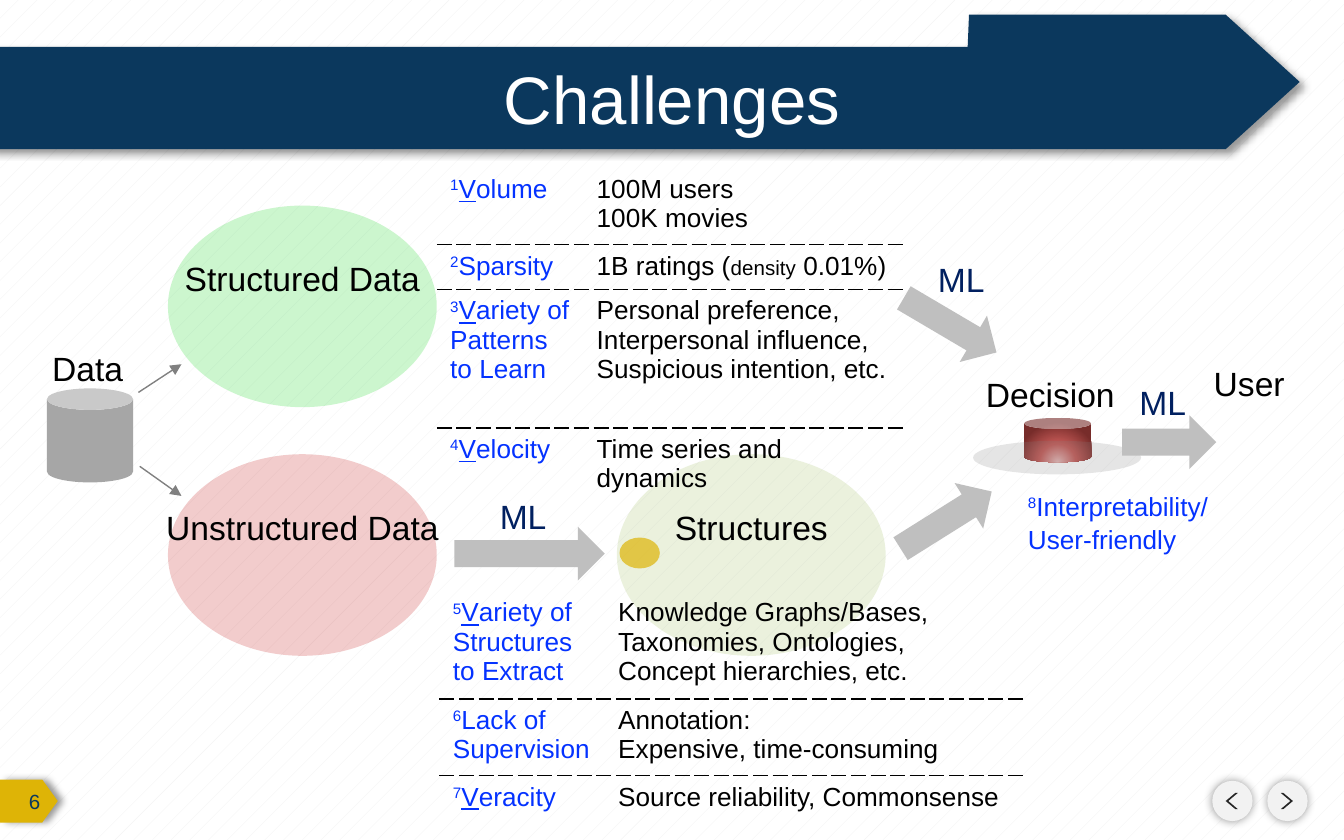
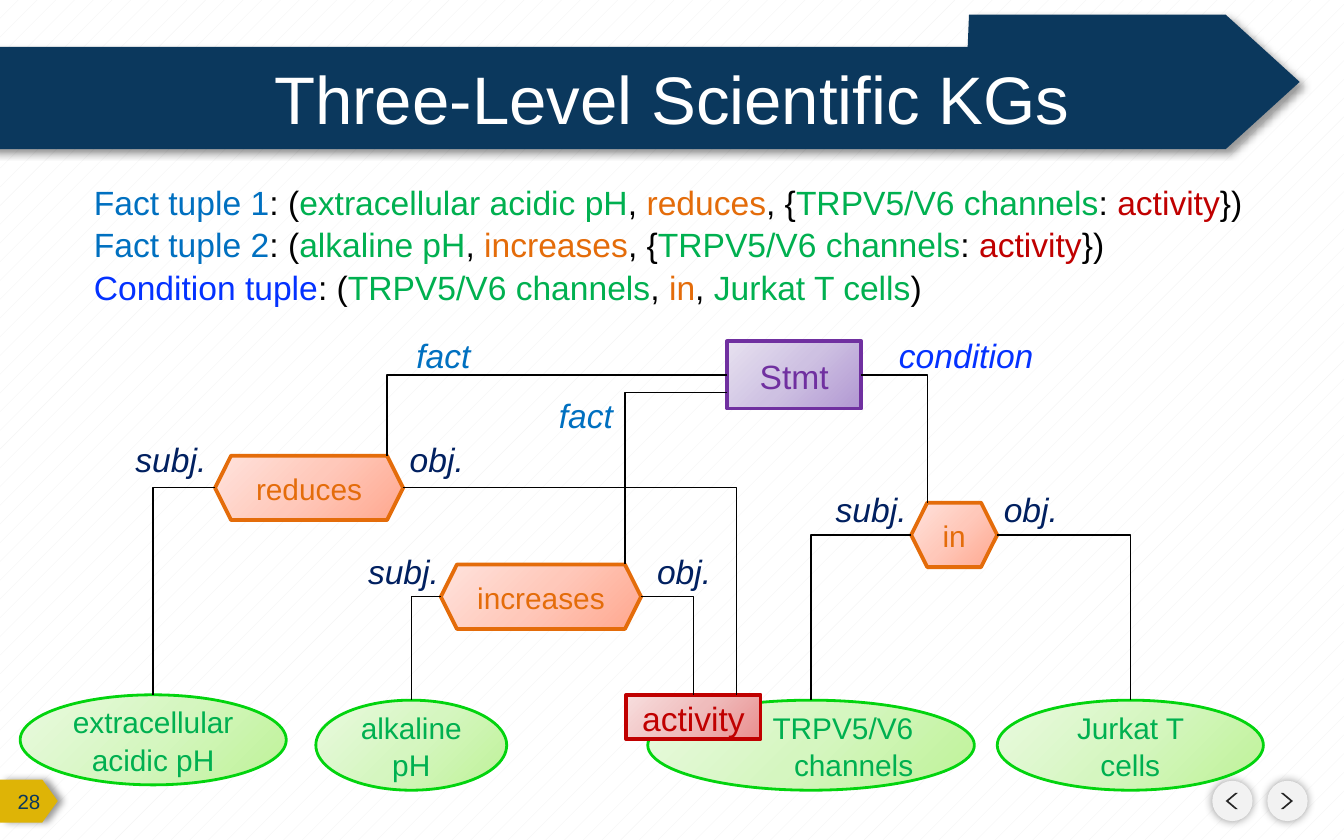
from dataclasses import dataclass

from lxml.etree import SubElement
from pptx import Presentation
from pptx.dml.color import RGBColor
from pptx.enum.dml import MSO_PATTERN
from pptx.enum.shapes import MSO_CONNECTOR as Link, MSO_SHAPE as Preset
from pptx.enum.text import MSO_ANCHOR as Anchor, MSO_AUTO_SIZE as AutoSize, PP_ALIGN as Align
from pptx.oxml.ns import qn
from pptx.util import Emu, Inches, Pt

UNIT = Inches(10) / 100  # the slide is a grid of 100 columns and 62.5 rows
NO_TABLE_STYLE = "{2D5ABB26-0587-4C30-8999-92F81FD0307C}"


@dataclass(frozen=True)
class NodeStyle:
    ink: str
    border: str
    stops: tuple
    size: int
    weight: float = 2


@dataclass(frozen=True)
class Theme:
    font: str = "Arial"
    title: int = 36
    label: int = 18
    detail: int = 14
    small: int = 11
    black: str = "000000"
    white: str = "FFFFFF"
    pale: str = "F2F2F2"
    navy: str = "0B385D"
    gold: str = "DEB406"
    chevron: str = "262626"
    blue: str = "0432FF"
    fact: str = "0070C0"
    role: str = "012060"
    green: str = "00B050"
    orange: str = "E46C0A"
    red: str = "C00000"
    lime: str = "02D40E"
    olive: str = "9BBB59"
    arrow: str = "BFBFBF"
    store: str = "A6A6A6"
    gray: str = "808080"
    decision: tuple = ((0, "E6B9B8"), (46, "C35956"), (100, "772C2A"))
    concept: NodeStyle = NodeStyle(
        "00B050", "02D40E", ((0, "BEF297"), (50, "D5F6C0"), (100, "EAFAE0")), 16, 1.5)
    relation: NodeStyle = NodeStyle(
        "E46C0A", "E46C0A", ((0, "FFA78E"), (50, "FFC8BA"), (100, "FFE3DD")), 16)
    attribute: NodeStyle = NodeStyle(
        "C00000", "C00000", ((0, "E98F8F"), (50, "EFBCBC"), (100, "F7DEDE")), 18)
    statement: NodeStyle = NodeStyle(
        "7030A0", "7030A0", ((0, "B197D2"), (50, "CEC1E2"), (100, "E7E1F0")), 18)


T = Theme()


def grid(value):
    return Emu(round(value * UNIT))


@dataclass(frozen=True)
class Box:
    """An area of the slide, in grid units."""
    left: float
    top: float
    width: float
    height: float

    def at(self, x, y, width, height):
        return Box(self.left + x, self.top + y, width, height)

    def point(self, x, y):
        return grid(self.left + x), grid(self.top + y)

    def emu(self):
        return [grid(v) for v in (self.left, self.top, self.width, self.height)]


def write(frame, *paragraphs, align=None, anchor=None, spacing=None, **base):
    """Fill a text frame; a paragraph is a string or a list of strings and (string, format) runs."""
    if anchor is not None:
        frame.vertical_anchor = anchor
    for i, content in enumerate(paragraphs):
        paragraph = frame.add_paragraph() if i else frame.paragraphs[0]
        paragraph.alignment = align
        paragraph.line_spacing = spacing
        for piece in [content] if isinstance(content, str) else content:
            words, extra = (piece, {}) if isinstance(piece, str) else piece
            look = {"size": T.label, "color": T.black, **base, **extra}
            run = paragraph.add_run()
            run.text = words
            run.font.name = T.font
            run.font.size = Pt(look["size"])
            run.font.color.rgb = RGBColor.from_string(look["color"])
            run.font.italic = look.get("italic")
            run.font.underline = look.get("underline")
            if look.get("superscript"):
                run.font._element.set("baseline", "30000")


def label(slide, box, *paragraphs, wrap=False, grow=True, **fmt):
    frame = slide.shapes.add_textbox(*box.emu()).text_frame
    frame.word_wrap = wrap
    frame.auto_size = AutoSize.SHAPE_TO_FIT_TEXT if grow else AutoSize.NONE
    write(frame, *paragraphs, **fmt)


def paint(shape, color, alpha=None, shadow=None):
    """Solid fill, no line; shadow is (blur, distance, direction)."""
    shape.fill.solid()
    shape.fill.fore_color.rgb = RGBColor.from_string(color)
    shape.line.fill.background()
    shape.shadow.inherit = False
    properties = shape._element.spPr
    if alpha:
        SubElement(properties.find(".//" + qn("a:srgbClr")), qn("a:alpha"), val=str(alpha * 1000))
    if shadow:
        blur, distance, direction = shadow
        outer = SubElement(properties.find(qn("a:effectLst")), qn("a:outerShdw"),
                           blurRad=str(Pt(blur)), dist=str(Pt(distance)),
                           dir=str(direction * 60000), rotWithShape="0")
        ink = SubElement(outer, qn("a:srgbClr"), val=T.black)
        SubElement(ink, qn("a:alpha"), val="40000")


def solid(slide, preset, box, color, rotation=0, adjust=None, **effects):
    shape = slide.shapes.add_shape(preset, *box.emu())
    shape.rotation = rotation
    if adjust:
        shape.adjustments[0] = adjust
    paint(shape, color, **effects)
    return shape


def shade(shape, stops, radial=False):
    """Gradient fill, either radial or from the lower right corner."""
    shape.fill.gradient()
    gradient = shape._element.spPr.find(qn("a:gradFill"))
    for child in list(gradient):
        gradient.remove(child)
    steps = SubElement(gradient, qn("a:gsLst"))
    for position, color in stops:
        SubElement(SubElement(steps, qn("a:gs"), pos=str(position * 1000)), qn("a:srgbClr"), val=color)
    if radial:
        SubElement(SubElement(gradient, qn("a:path"), path="circle"), qn("a:fillToRect"),
                   l="50000", t="130000", r="50000", b="-30000")
    else:
        SubElement(gradient, qn("a:lin"), ang=str(225 * 60000), scaled="0")


def connect(slide, start, end, color, kind=Link.STRAIGHT, arrow=False):
    """Elbows leave start horizontally and reach end vertically."""
    link = slide.shapes.add_connector(kind, *start, *end)
    link.line.color.rgb = RGBColor.from_string(color)
    link.line.width = Pt(0.75)
    properties = link._element.spPr
    if kind == Link.ELBOW:
        properties.find(qn("a:prstGeom")).set("prst", "bentConnector2")
    if arrow:
        SubElement(properties.find(qn("a:ln")), qn("a:tailEnd"), type="triangle")
    SubElement(properties, qn("a:effectLst"))


def decorate(slide, layout):
    """Draw the shared band, page tag and buttons, then move them to the layout."""
    for x, glyph_x, flip in ((94.3, 95.3, False), (90.2, 91.2, True)):
        solid(slide, Preset.OVAL, Box(x, 58.1, 3, 3), T.pale, shadow=(5, 0, 0))
        glyph = solid(slide, Preset.CHEVRON, Box(glyph_x, 59, 0.9, 1.2), T.chevron, adjust=0.79)
        if flip:
            glyph._element.spPr.xfrm.set("flipH", "1")
    solid(slide, Preset.PENTAGON, Box(0, 58, 4.3, 3.2), T.gold, adjust=0.36, shadow=(4, 3, 0))
    corner, *outline = [(grid(x), grid(y)) for x, y in (
        (-0.8, 3.5), (72, 3.5), (72.1, 1.1), (91.2, 1.1), (96.7, 6.1), (91.2, 11.1), (-0.8, 11.1))]
    band = slide.shapes.build_freeform(*corner)
    band.add_line_segments(outline)
    paint(band.convert_to_shape(), T.navy, shadow=(4, 3, 45))
    parts = [s._element for s in slide.shapes if not s.is_placeholder]
    for i, part in enumerate(parts):
        part.nvSpPr.cNvPr.set("id", str(100 + i))
        layout.shapes._spTree.insert(2 + i, part)


def head(slide, title, number):
    heading = slide.shapes.title
    heading.left, heading.top, heading.width, heading.height = Box(8.5, 3.8, 83, 7).emu()
    write(heading.text_frame, title, size=T.title, color=T.white, align=Align.CENTER, anchor=Anchor.MIDDLE)
    label(slide, Box(-1, 58, 5, 3.2), str(number), wrap=True, grow=False, size=T.small,
          color=T.navy, align=Align.RIGHT, anchor=Anchor.MIDDLE)


def cloud(slide, box, name, color, name_width):
    solid(slide, Preset.OVAL, box, color, alpha=20)
    label(slide, box.at((box.width - name_width) / 2, 3.4, name_width, 4), name, align=Align.CENTER)


def learning_step(slide, arrow_box, mark_box, rotation=0):
    solid(slide, Preset.RIGHT_ARROW, arrow_box, T.arrow, rotation)
    if mark_box:
        label(slide, mark_box, "ML", color=T.role)


def sources(slide, box):
    cloud(slide, box.at(10, 18.5, 20, 15), "Unstructured Data", T.red, 22.5)
    cloud(slide, box.at(10, 0, 20, 15), "Structured Data", T.lime, 19.7)
    solid(slide, Preset.CAN, box.at(1, 13.6, 6.4, 7), T.store)
    label(slide, box.at(0.4, 10.1, 7.3, 4), "Data")
    for start, end in (((7.8, 13.9), (11, 11.8)), ((7.9, 19.4), (11, 21.6))):
        connect(slide, box.point(*start), box.point(*end), T.gray, arrow=True)


def structures(slide, box):
    cloud(slide, box.at(12.1, 0, 20, 15), "Structures", T.olive, 13.5)
    learning_step(slide, box.at(0, 5.4, 11.2, 4), box.at(2.4, 2.6, 5.5, 4))
    solid(slide, Preset.OVAL, box.at(12.3, 6.2, 3, 2.3), T.gold, alpha=70)


def decision(slide, box):
    drum = solid(slide, Preset.CAN, box.at(10.2, 13.1, 5, 3.3), T.red)
    shade(drum, T.decision, radial=True)
    solid(slide, Preset.OVAL, box.at(6.4, 14.8, 12.5, 2.5), T.gray, alpha=20)
    label(slide, box.at(6.3, 9.3, 11.7, 4), "Decision", align=Align.CENTER)
    learning_step(slide, box.at(0.7, 4.2, 8, 4), box.at(2.8, 0.8, 5.5, 4), 30.5)
    learning_step(slide, box.at(0.4, 18.7, 8, 4), None, 327.9)
    learning_step(slide, box.at(17.5, 12.9, 7, 4), box.at(17.8, 9.9, 5.5, 4))
    label(slide, box.at(23.3, 8.5, 7.3, 4), "User", align=Align.CENTER)
    label(slide, box.at(9.5, 17.9, 15.6, 5.7), numbered(8, "Interpretability/"), "User-friendly",
          size=T.detail, color=T.blue, spacing=1.05)


def numbered(number, words, initial=""):
    mark = [(str(number), {"superscript": True})]
    return mark + ([(initial, {"underline": True})] if initial else []) + [words]


def challenge_table(slide, box, columns, rows):
    """Rows are (height, name paragraphs, detail paragraphs), parted by dashed rules."""
    table = slide.shapes.add_table(len(rows), 2, *box.emu()).table
    table.first_row = table.horz_banding = False
    table._tbl.tblPr.find(qn("a:tableStyleId")).text = NO_TABLE_STYLE
    for column, width in zip(table.columns, columns):
        column.width = grid(width)
    for r, (height, *texts) in enumerate(rows):
        table.rows[r].height = grid(height)
        for cell, paragraphs, color in zip(table.rows[r].cells, texts, (T.blue, T.black)):
            write(cell.text_frame, *paragraphs, size=T.detail, color=color)
            for edge, inner in (("a:lnT", r > 0), ("a:lnB", r < len(rows) - 1)):
                if inner:
                    rule = SubElement(cell._tc.get_or_add_tcPr(), qn(edge), w=str(Pt(1)))
                    SubElement(SubElement(rule, qn("a:solidFill")), qn("a:srgbClr"), val=T.black)
                    SubElement(rule, qn("a:prstDash"), val="sysDash")
            cell.fill.background()


def challenges(slide):
    head(slide, "Challenges", 6)
    sources(slide, Box(2.5, 15.3, 31.5, 33.5))
    structures(slide, Box(33.8, 33.8, 32.1, 15))
    decision(slide, Box(66, 18, 31, 26))
    challenge_table(slide, Box(32.5, 12.5, 35, 22.7), (10.9, 24.1), [
        (5.7, [numbered(1, "olume", "V")], ["100M users", "100K movies"]),
        (3.3, [numbered(2, "Sparsity")], [["1B ratings (", ("density", {"size": T.small}), " 0.01%)"]]),
        (10.3, [numbered(3, "ariety of Patterns to Learn", "V")],
         ["Personal preference,", "Interpersonal influence,", "Suspicious intention, etc."]),
        (3.4, [numbered(4, "elocity", "V")], ["Time series and dynamics"])])
    challenge_table(slide, Box(32.7, 44, 43.5, 17), (12.3, 31.2), [
        (8, [numbered(5, "ariety of", "V"), "Structures to Extract"],
         ["Knowledge Graphs/Bases, Taxonomies, Ontologies,", "Concept hierarchies, etc."]),
        (5.7, [numbered(6, "Lack of Supervision")], ["Annotation:", "Expensive, time-consuming"]),
        (3.3, [numbered(7, "eracity", "V")], ["Source reliability, Commonsense"])])


def tuple_line(name, color, subject, relation, target, attribute=None):
    green = {"color": T.green}
    line = [(name, {"color": color}), ": (", (subject, green), ", ", (relation, {"color": T.orange})]
    if attribute:
        return line + [", {", (target, green), ": ", (attribute, {"color": T.red}), "})"]
    return line + [", ", (target, green), ")"]


def tuples(slide, box):
    channels = "TRPV5/V6 channels"
    label(slide, box,
          tuple_line("Fact tuple 1", T.fact, "extracellular acidic pH", "reduces", channels, "activity"),
          tuple_line("Fact tuple 2", T.fact, "alkaline pH", "increases", channels, "activity"),
          tuple_line("Condition tuple", T.blue, channels, "in", "Jurkat T cells"),
          wrap=True, spacing=1.05)


def node(slide, preset, box, name, style, align=Align.CENTER):
    shape = solid(slide, preset, box, T.white)
    shade(shape, style.stops)
    shape.line.color.rgb = RGBColor.from_string(style.border)
    shape.line.width = Pt(style.weight)
    shape.text_frame.word_wrap = True
    write(shape.text_frame, name, size=style.size, color=style.ink, align=align,
          anchor=Anchor.MIDDLE, spacing=1.05)
    return shape


def spot(shape, across, down):
    return shape.left + round(shape.width * across), shape.top + round(shape.height * down)


def knowledge_graph(slide, box):
    acidic, alkaline, channels, jurkat = [
        node(slide, Preset.OVAL, box.at(x, y, width, 6.7), name, T.concept, align)
        for x, y, width, name, align in (
            (1.5, 27.7, 19.8, "extracellular acidic pH", Align.CENTER),
            (23.5, 28.1, 14.2, "alkaline pH", Align.CENTER),
            (48.2, 28.1, 24.3, "TRPV5/V6 channels", Align.RIGHT),
            (74.2, 28.1, 19.8, "Jurkat T cells", Align.CENTER))]
    reduces, increases, inside = [
        node(slide, Preset.HEXAGON, box.at(x, y, width, 4.8), name, T.relation)
        for x, y, width, name in ((16, 9.9, 14, "reduces"), (32.8, 18, 14.9, "increases"),
                                  (67.8, 13.4, 6.4, "in"))]
    activity = node(slide, Preset.RECTANGLE, box.at(46.6, 27.7, 10, 3.3), "activity", T.attribute)
    stmt = node(slide, Preset.RECTANGLE, box.at(54.1, 1.4, 10, 5), "Stmt", T.statement)

    corner = reduces.height // 4
    links = [(spot(stmt, 0, 0.5), (reduces.left + reduces.width - corner, reduces.top)),
             (spot(stmt, 0, 0.76), (increases.left + increases.width - corner, increases.top)),
             (spot(stmt, 1, 0.5), (inside.left + corner, inside.top))]
    for relation, subject, target, across in ((reduces, acidic, activity, 0.82),
                                              (increases, alkaline, activity, 0.5),
                                              (inside, channels, jurkat, 0.5)):
        links += [(spot(relation, 0, 0.5), spot(subject, 0.5, 0)),
                  (spot(relation, 1, 0.5), spot(target, across, 0))]
    for start, end in links:
        connect(slide, start, end, T.black, Link.ELBOW)

    for x, y, width, name, color in (
            (30, 0.4, 6.1, "fact", T.fact), (40.6, 4.9, 6.1, "fact", T.fact),
            (65.9, 0.4, 12.1, "condition", T.blue)):
        label(slide, box.at(x, y, width, 4), name, color=color, italic=True)
    for subject_x, object_x, y in ((9.1, 29.5, 8.2), (26.4, 47.9, 16.5), (61.2, 73.7, 11.9)):
        label(slide, box.at(subject_x, y, 7.3, 4), "subj.", color=T.role, italic=True)
        label(slide, box.at(object_x, y, 6.1, 4), "obj.", color=T.role, italic=True)


def scientific_graphs(slide):
    head(slide, "Three-Level Scientific KGs", 28)
    tuples(slide, Box(6, 12.9, 87.9, 10.1))
    knowledge_graph(slide, Box(0, 24, 100, 35))


def main():
    deck = Presentation()
    deck.slide_width, deck.slide_height = grid(100), grid(62.5)
    backdrop = deck.slide_master.background.fill
    backdrop.patterned()
    backdrop.pattern = MSO_PATTERN.PERCENT_5
    backdrop.fore_color.rgb = RGBColor.from_string(T.pale)
    backdrop.back_color.rgb = RGBColor.from_string(T.white)
    layout = deck.slide_layouts[5]
    first, second = [deck.slides.add_slide(layout) for _ in range(2)]
    decorate(first, layout)
    challenges(first)
    scientific_graphs(second)
    deck.save("out.pptx")


if __name__ == "__main__":
    main()
